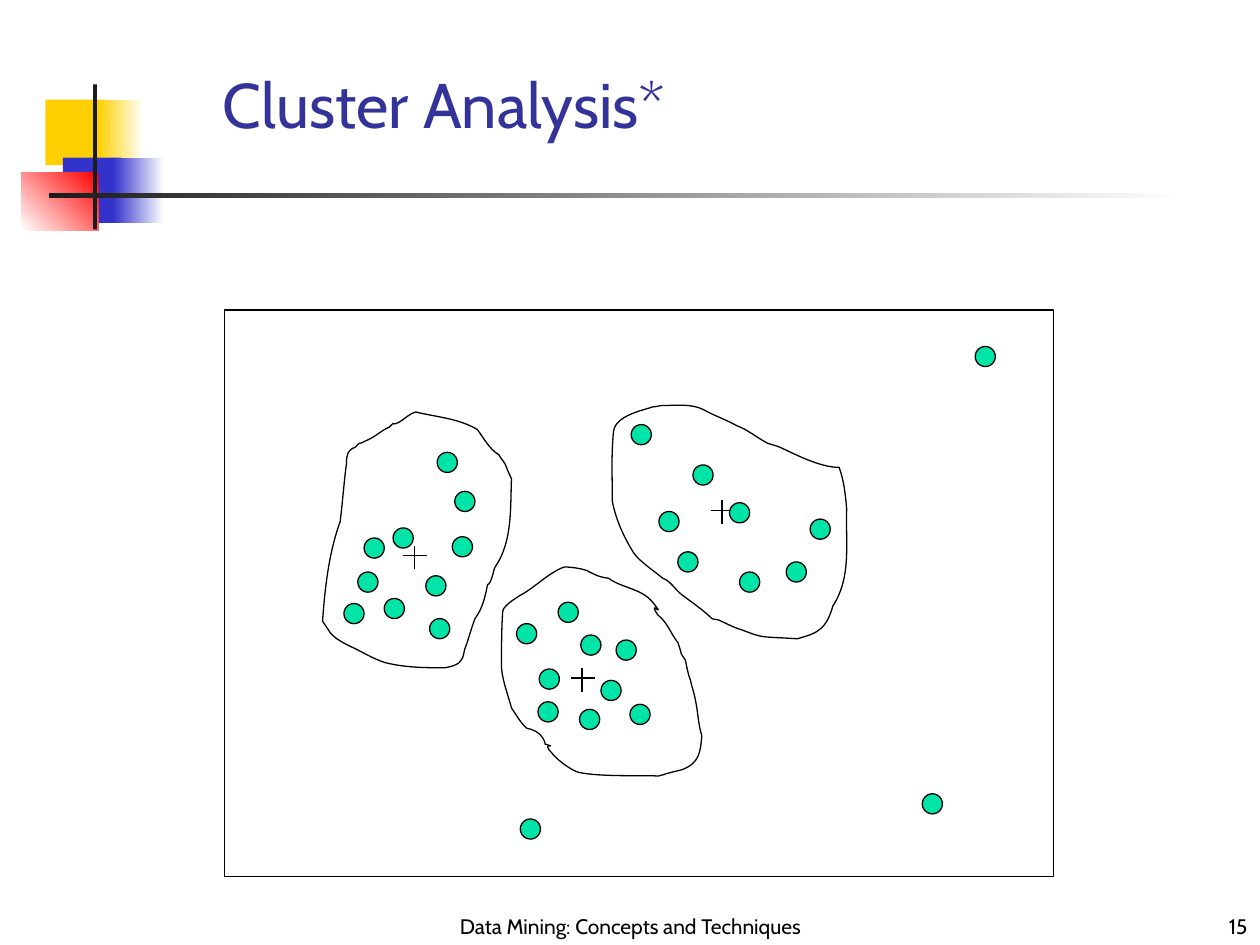
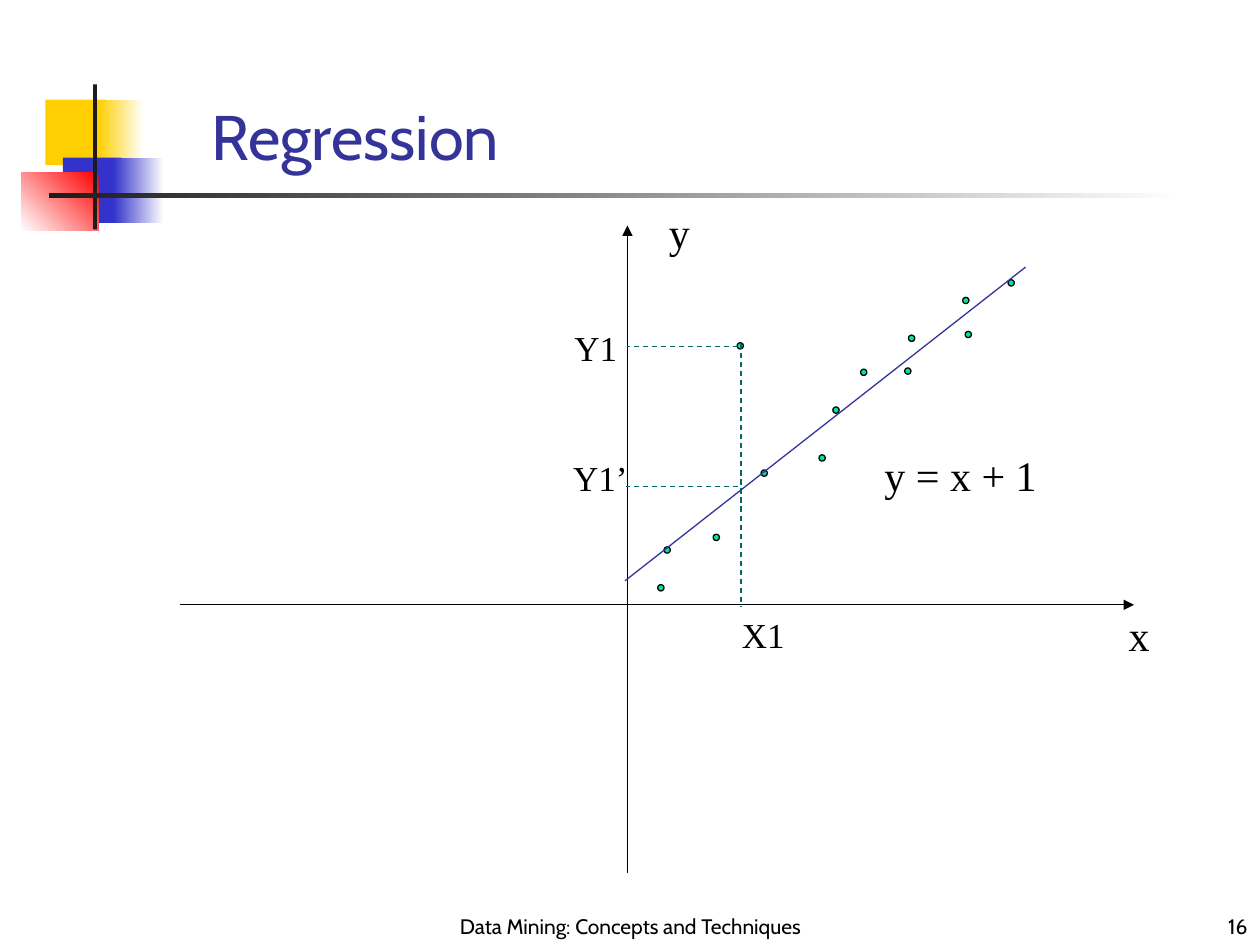
from lxml import etree
from pptx import Presentation
from pptx.dml.color import RGBColor
from pptx.enum.dml import MSO_LINE
from pptx.enum.shapes import MSO_CONNECTOR, MSO_SHAPE
from pptx.enum.text import MSO_ANCHOR, MSO_AUTO_SIZE, PP_ALIGN
from pptx.oxml.ns import qn
from pptx.util import Inches, Pt

BLACK = RGBColor(0x00, 0x00, 0x00)
WHITE = RGBColor(0xFF, 0xFF, 0xFF)
CHARCOAL = RGBColor(0x1C, 0x1C, 0x1C)
YELLOW = RGBColor(0xFF, 0xCF, 0x01)
BLUE = RGBColor(0x33, 0x33, 0xCC)
RED = RGBColor(0xFF, 0x00, 0x00)
INDIGO = RGBColor(0x33, 0x33, 0x99)
MINT = RGBColor(0x00, 0xE4, 0xA8)
TEAL = RGBColor(0x00, 0x66, 0x66)

SANS = "Cabin"
SERIF = "Times New Roman"
THIN = Pt(0.75)

# Left, top, width, height, start colour, end colour and clockwise angle.
DECORATION = [
    (0.36, 0.79, 0.48, 0.52, YELLOW, YELLOW, 0),
    (0.78, 0.79, 0.36, 0.52, WHITE, YELLOW, 180),
    (0.5, 1.25, 0.46, 0.52, BLUE, BLUE, 0),
    (0.9, 1.25, 0.4, 0.52, WHITE, BLUE, 180),
    (0.17, 1.37, 0.61, 0.46, RED, WHITE, 135),
    (0.74, 0.67, 0.03, 1.15, CHARCOAL, CHARCOAL, 0),
    (0.39, 1.53, 9, 0.04, WHITE, CHARCOAL, 180),
]

# Each outline is a start point, then cubic curves: two controls and an end.
RIGHT_OUTLINE = [
    (6.66, 3.71),
    (6.7, 3.82, 6.71, 3.93, 6.72, 4.04),
    (6.71, 4.31, 6.76, 4.58, 6.61, 4.81),
    (6.59, 4.88, 6.56, 4.96, 6.5, 5),
    (6.45, 5.04, 6.39, 5.05, 6.33, 5.07),
    (6.03, 5.05, 6.07, 5.07, 5.89, 5),
    (5.82, 4.98, 5.77, 4.95, 5.7, 4.92),
    (5.68, 4.92, 5.65, 4.91, 5.65, 4.91),
    (5.58, 4.84, 5.49, 4.78, 5.41, 4.72),
    (5.35, 4.67, 5.32, 4.61, 5.26, 4.59),
    (5.19, 4.53, 5.08, 4.46, 5.03, 4.39),
    (4.95, 4.26, 4.89, 4.13, 4.86, 3.98),
    (4.86, 3.79, 4.85, 3.61, 4.87, 3.42),
    (4.89, 3.3, 5.09, 3.26, 5.18, 3.23),
    (5.2, 3.23, 5.24, 3.22, 5.24, 3.22),
    (5.35, 3.22, 5.48, 3.2, 5.58, 3.25),
    (5.67, 3.3, 5.76, 3.33, 5.85, 3.38),
    (5.93, 3.41, 5.99, 3.46, 6.06, 3.5),
    (6.1, 3.53, 6.15, 3.53, 6.19, 3.55),
    (6.32, 3.61, 6.51, 3.71, 6.66, 3.71),
]
MIDDLE_OUTLINE = [
    (4.37, 5.92),
    (4.29, 5.89, 4.35, 5.93, 4.31, 5.86),
    (4.28, 5.81, 4.23, 5.79, 4.18, 5.78),
    (4.16, 5.76, 4.14, 5.74, 4.12, 5.71),
    (4.1, 5.68, 4.06, 5.62, 4.06, 5.62),
    (4.03, 5.51, 3.99, 5.41, 3.98, 5.3),
    (3.98, 5.15, 3.98, 5, 3.99, 4.85),
    (4, 4.8, 4.11, 4.74, 4.12, 4.73),
    (4.24, 4.67, 4.36, 4.54, 4.48, 4.5),
    (4.52, 4.5, 4.61, 4.51, 4.66, 4.53),
    (4.72, 4.56, 4.75, 4.58, 4.83, 4.59),
    (4.94, 4.67, 5.09, 4.67, 5.18, 4.78),
    (5.3, 4.93, 5.13, 4.74, 5.22, 4.88),
    (5.24, 4.9, 5.26, 4.91, 5.27, 4.93),
    (5.31, 4.98, 5.34, 5.05, 5.38, 5.1),
    (5.42, 5.21, 5.39, 5.17, 5.44, 5.24),
    (5.45, 5.29, 5.46, 5.35, 5.48, 5.4),
    (5.49, 5.45, 5.51, 5.5, 5.52, 5.56),
    (5.54, 5.65, 5.54, 5.74, 5.57, 5.84),
    (5.56, 5.97, 5.55, 6.06, 5.41, 6.11),
    (5.37, 6.12, 5.33, 6.13, 5.29, 6.14),
    (5.27, 6.15, 5.22, 6.16, 5.22, 6.16),
    (5.14, 6.15, 4.78, 6.17, 4.59, 6.13),
    (4.53, 6.11, 4.45, 6.05, 4.4, 6),
    (4.38, 5.97, 4.31, 5.92, 4.37, 5.92),
]
LEFT_OUTLINE = [
    (3.87, 4.64),
    (3.85, 4.74, 3.83, 4.83, 3.77, 4.91),
    (3.74, 4.99, 3.72, 5.07, 3.69, 5.15),
    (3.68, 5.18, 3.68, 5.22, 3.66, 5.24),
    (3.65, 5.25, 3.64, 5.27, 3.63, 5.27),
    (3.6, 5.29, 3.53, 5.3, 3.53, 5.3),
    (3.38, 5.3, 3.22, 5.3, 3.06, 5.26),
    (2.96, 5.23, 2.87, 5.17, 2.78, 5.13),
    (2.72, 5.1, 2.66, 5.07, 2.62, 5.02),
    (2.6, 4.99, 2.56, 4.93, 2.56, 4.93),
    (2.58, 4.66, 2.61, 4.39, 2.7, 4.14),
    (2.72, 3.98, 2.73, 3.83, 2.75, 3.68),
    (2.75, 3.61, 2.76, 3.57, 2.82, 3.55),
    (2.89, 3.48, 2.81, 3.55, 2.9, 3.5),
    (2.98, 3.47, 3.02, 3.42, 3.09, 3.39),
    (3.15, 3.33, 3.09, 3.39, 3.17, 3.35),
    (3.22, 3.32, 3.24, 3.29, 3.3, 3.27),
    (3.46, 3.31, 3.64, 3.32, 3.79, 3.41),
    (3.84, 3.48, 3.89, 3.57, 3.96, 3.61),
    (3.98, 3.65, 4.01, 3.67, 4.02, 3.71),
    (4.03, 3.74, 4.06, 3.8, 4.06, 3.8),
    (4.05, 4.02, 4.07, 4.3, 3.93, 4.5),
    (3.92, 4.51, 3.9, 4.64, 3.87, 4.64),
]

# Each cluster is its centre, its outline and its members.
CLUSTERS = [
    ((4.62, 5.38), MIDDLE_OUTLINE, [
        (4.1, 4.95), (4.89, 5.08), (4.6, 5.63), (4.77, 5.4), (4.28, 5.31),
        (4.27, 5.57), (4.43, 4.78), (4.61, 5.04), (5, 5.59)]),
    ((5.73, 4.05), RIGHT_OUTLINE, [
        (5.5, 3.69), (5.38, 4.38), (5.79, 3.99), (5.23, 4.06), (6.43, 4.12),
        (6.24, 4.46), (5.87, 4.54), (5.01, 3.37)]),
    ((3.29, 4.41), LEFT_OUTLINE, [
        (3.05, 4.75), (2.84, 4.54), (3.38, 4.57), (3.12, 4.19), (2.73, 4.79),
        (2.89, 4.27), (3.41, 4.91), (3.59, 4.26), (3.61, 3.9), (3.47, 3.59)]),
]
OUTLIERS = [(7.32, 6.3), (4.13, 6.5), (7.74, 2.75)]

OBSERVATIONS = [
    (6.5, 3.61), (6.04, 3.73), (5.85, 2.72), (5.66, 4.24), (6.61, 3.23),
    (6.83, 2.93), (5.27, 4.34), (7.18, 2.92), (7.21, 2.66), (7.66, 2.63),
    (5.22, 4.64), (7.64, 2.36), (8, 2.22),
]
PLOT_LABELS = [
    ("x", 8.86, 4.79, 0.36, 0.5, 24),
    ("y", 5.21, 1.59, 0.36, 0.5, 24),
    ("y = x + 1", 6.92, 3.52, 1.41, 0.5, 24),
    ("X1", 5.79, 4.82, 0.54, 0.44, 20),
    ("Y1", 4.46, 2.54, 0.54, 0.44, 20),
    ("Y1’", 4.45, 3.57, 0.63, 0.44, 20),
]


def bend_segments(shape):
    """Turn every three straight segments into one cubic Bézier curve."""
    segments = list(shape._element.iter(qn("a:lnTo")))
    for first in range(0, len(segments), 3):
        curve = etree.Element(qn("a:cubicBezTo"))
        segments[first].addprevious(curve)
        for segment in segments[first:first + 3]:
            curve.append(segment[0])
            segment.getparent().remove(segment)


class Deck:
    """Holds the presentation, its shared style and the current slide."""

    def __init__(self):
        self.presentation = Presentation()
        self.presentation.slide_width = Inches(10)
        self.presentation.slide_height = Inches(7.5)
        self.slide = None

    def add_slide(self, title, title_box):
        self.slide = self.presentation.slides.add_slide(self.presentation.slide_layouts[6])
        for left, top, width, height, start, end, angle in DECORATION:
            self.decorate((left, top, width, height), start, end, angle)
        self.text(title, title_box, 36, color=INDIGO, anchor=MSO_ANCHOR.BOTTOM)

    def add_footer(self, number):
        self.text("Data Mining: Concepts and Techniques", (3.42, 7.08, 3.17, 0.42), 12,
                  align=PP_ALIGN.CENTER, anchor=MSO_ANCHOR.BOTTOM)
        self.text(str(number), (7.92, 7.08, 2.08, 0.42), 12,
                  align=PP_ALIGN.RIGHT, anchor=MSO_ANCHOR.BOTTOM)

    def shape(self, kind, box):
        shape = self.slide.shapes.add_shape(kind, *map(Inches, box))
        shape.shadow.inherit = False
        return shape

    def decorate(self, box, start, end, angle):
        shape = self.shape(MSO_SHAPE.RECTANGLE, box)
        shape.line.fill.background()
        if start == end:
            shape.fill.solid()
            shape.fill.fore_color.rgb = start
            return
        shape.fill.gradient()
        shape.fill.gradient_angle = 360 - angle
        for stop, color, position in zip(shape.fill.gradient_stops, (start, end), (0, 1)):
            stop.color.rgb = color
            stop.position = position

    def stroke(self, item, color=BLACK):
        item.line.color.rgb = color
        item.line.width = THIN

    def dot(self, kind, left, top, size):
        shape = self.shape(kind, (left, top, size, size))
        shape.fill.solid()
        shape.fill.fore_color.rgb = MINT
        self.stroke(shape)

    def frame(self, box):
        shape = self.shape(MSO_SHAPE.RECTANGLE, box)
        shape.fill.background()
        self.stroke(shape)

    def outline(self, start, *curves):
        builder = self.slide.shapes.build_freeform(*map(Inches, start))
        points = [(Inches(x), Inches(y))
                  for curve in curves for x, y in zip(curve[::2], curve[1::2])]
        builder.add_line_segments(points, close=True)
        shape = builder.convert_to_shape()
        bend_segments(shape)
        shape.shadow.inherit = False
        shape.fill.background()
        self.stroke(shape)

    def line(self, start, end, color=BLACK, dashed=False, arrow=False):
        connector = self.slide.shapes.add_connector(
            MSO_CONNECTOR.STRAIGHT, *map(Inches, start + end))
        self.stroke(connector, color)
        if dashed:
            connector.line.dash_style = MSO_LINE.DASH
        if arrow:
            etree.SubElement(connector.line._get_or_add_ln(), qn("a:tailEnd"), type="triangle")
        etree.SubElement(connector._element.spPr, qn("a:effectLst"))

    def cross(self, x, y):
        self.line((x - 0.09, y), (x + 0.1, y))
        self.line((x, y + 0.11), (x, y - 0.08))

    def text(self, content, box, size, font=SANS, color=BLACK, align=PP_ALIGN.LEFT,
             anchor=MSO_ANCHOR.TOP, wrap=True):
        frame = self.slide.shapes.add_textbox(*map(Inches, box)).text_frame
        frame.word_wrap = wrap
        frame.auto_size = MSO_AUTO_SIZE.NONE if wrap else MSO_AUTO_SIZE.SHAPE_TO_FIT_TEXT
        frame.vertical_anchor = anchor
        paragraph = frame.paragraphs[0]
        paragraph.alignment = align
        run = paragraph.add_run()
        run.text = content
        run.font.name = font
        run.font.size = Pt(size)
        run.font.color.rgb = color


def add_cluster_slide(deck):
    deck.add_slide("Cluster Analysis*", (1.67, 0.5, 4.75, 0.67))
    members = list(OUTLIERS)
    for centre, _, cluster_members in CLUSTERS:
        deck.cross(*centre)
        members += cluster_members
    deck.frame((1.78, 2.46, 6.58, 4.5))
    for left, top in members:
        deck.dot(MSO_SHAPE.FLOWCHART_CONNECTOR, left, top, 0.16)
    for _, outline, _ in CLUSTERS:
        deck.outline(*outline)
    deck.add_footer(15)


def add_regression_slide(deck):
    deck.add_slide("Regression", (1.58, 0.75, 5.25, 0.67))
    deck.line((1.43, 4.8), (9, 4.8), arrow=True)
    deck.line((4.98, 6.93), (4.98, 1.79), arrow=True)
    for left, top in OBSERVATIONS:
        deck.dot(MSO_SHAPE.OVAL, left, top, 0.05)
    deck.line((4.96, 4.61), (8.14, 2.12), INDIGO)
    deck.line((5.88, 2.73), (5.88, 4.82), TEAL, dashed=True)
    for y, axis_x in ((2.75, 4.98), (3.86, 4.97)):
        deck.line((5.86, y), (axis_x, y), TEAL, dashed=True)
    for content, left, top, width, height, size in PLOT_LABELS:
        deck.text(content, (left, top, width, height), size, font=SERIF, wrap=False)
    deck.add_footer(16)


def main():
    deck = Deck()
    add_cluster_slide(deck)
    add_regression_slide(deck)
    deck.presentation.save("out.pptx")


if __name__ == "__main__":
    main()
